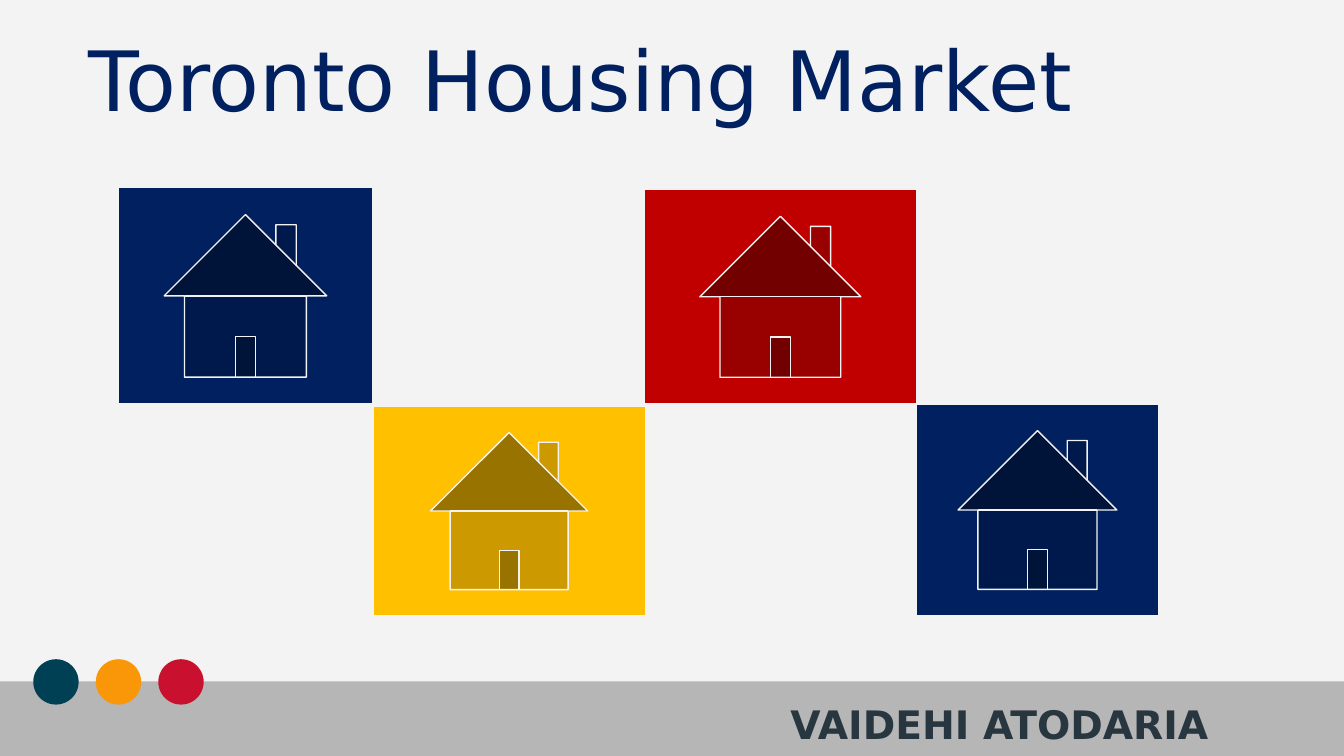
from pptx import Presentation
from pptx.dml.color import RGBColor
from pptx.enum.shapes import MSO_SHAPE as Shape
from pptx.enum.text import MSO_ANCHOR as Anchor, MSO_AUTO_SIZE as AutoSize
from pptx.util import Emu, Pt

EMU_PER_PX = 9144  # 100 px to the inch
WIDTH, HEIGHT = 1333, 750
NAVY, RED, GOLD = "002060", "C00000", "FFC000"
PAPER, BAND, INK = "F3F3F3", "B6B6B6", "283640"


def px(length):
    return Emu(length * EMU_PER_PX)


def color(hex_code):
    return RGBColor.from_string(hex_code)


def write(frame, text, *, size, ink, bold=False, font="DejaVu Sans"):
    frame.text = text
    style = frame.paragraphs[0].runs[0].font
    style.name, style.size, style.bold = font, Pt(size), bold
    style.color.rgb = color(ink)


class CoverSlide:
    def __init__(self, deck):
        self.slide = deck.slides.add_slide(deck.slide_layouts[5])
        backdrop = self.slide.background.fill
        backdrop.solid()
        backdrop.fore_color.rgb = color(PAPER)

    def shape(self, kind, box, fill, outline=None):
        part = self.slide.shapes.add_shape(kind, *map(px, box))
        part.shadow.inherit = False
        part.fill.solid()
        part.fill.fore_color.rgb = color(fill)
        if outline:
            part.line.color.rgb = color(outline)
            part.line.width = Pt(1)
        else:
            part.line.fill.background()

    def title(self, text, box, **style):
        heading = self.slide.shapes.title
        heading.left, heading.top, heading.width, heading.height = map(px, box)
        frame = heading.text_frame
        frame.margin_left = frame.margin_right = 0
        frame.margin_top = frame.margin_bottom = 0
        frame.vertical_anchor = Anchor.MIDDLE
        frame.auto_size = AutoSize.NONE
        write(frame, text, **style)
        frame.paragraphs[0].alignment = 1

    def label(self, text, box, **style):
        frame = self.slide.shapes.add_textbox(*map(px, box)).text_frame
        frame.word_wrap = True
        frame.auto_size = AutoSize.SHAPE_TO_FIT_TEXT
        write(frame, text, **style)


def main():
    deck = Presentation()
    deck.slide_width, deck.slide_height = px(WIDTH), px(HEIGHT)
    cover = CoverSlide(deck)

    cover.shape(Shape.RECTANGLE, (0, 676, WIDTH, 74), BAND)
    for index, dot_fill in enumerate(("004054", "F99708", "CA102F")):
        cover.shape(Shape.OVAL, (33 + 62 * index, 654, 45, 45), dot_fill)

    cover.title("Toronto Housing Market", (88, 30, 1010, 96), size=59.4, ink=NAVY)

    houses = (
        ((117, 186, 253, 215), NAVY),
        ((639, 188, 270, 213), RED),
        ((370, 403, 270, 208), GOLD),
        ((909, 401, 240, 210), NAVY),
    )
    for box, house_fill in houses:
        cover.shape(Shape.ACTION_BUTTON_HOME, box, house_fill, outline=PAPER)

    cover.label("VAIDEHI ATODARIA", (774, 690, 467, 57), size=28, ink=INK, bold=True)
    deck.save("out.pptx")


if __name__ == "__main__":
    main()
